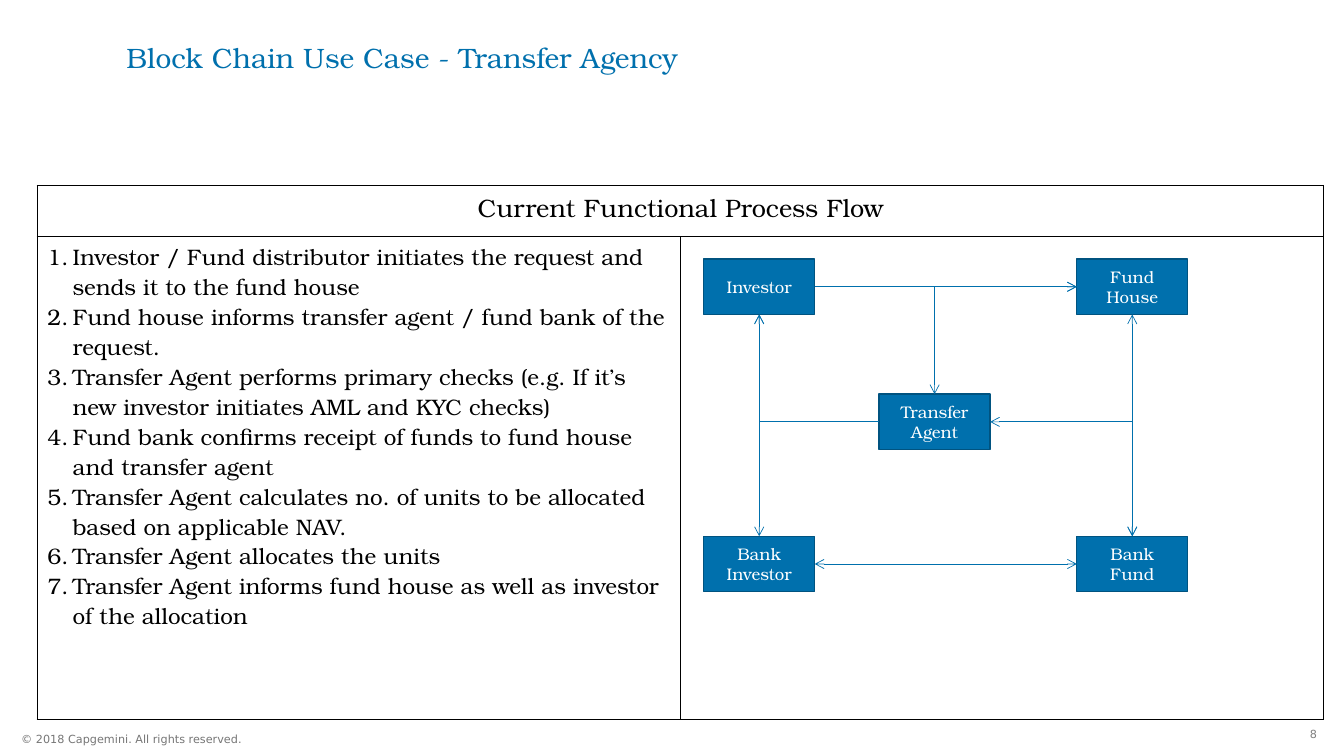
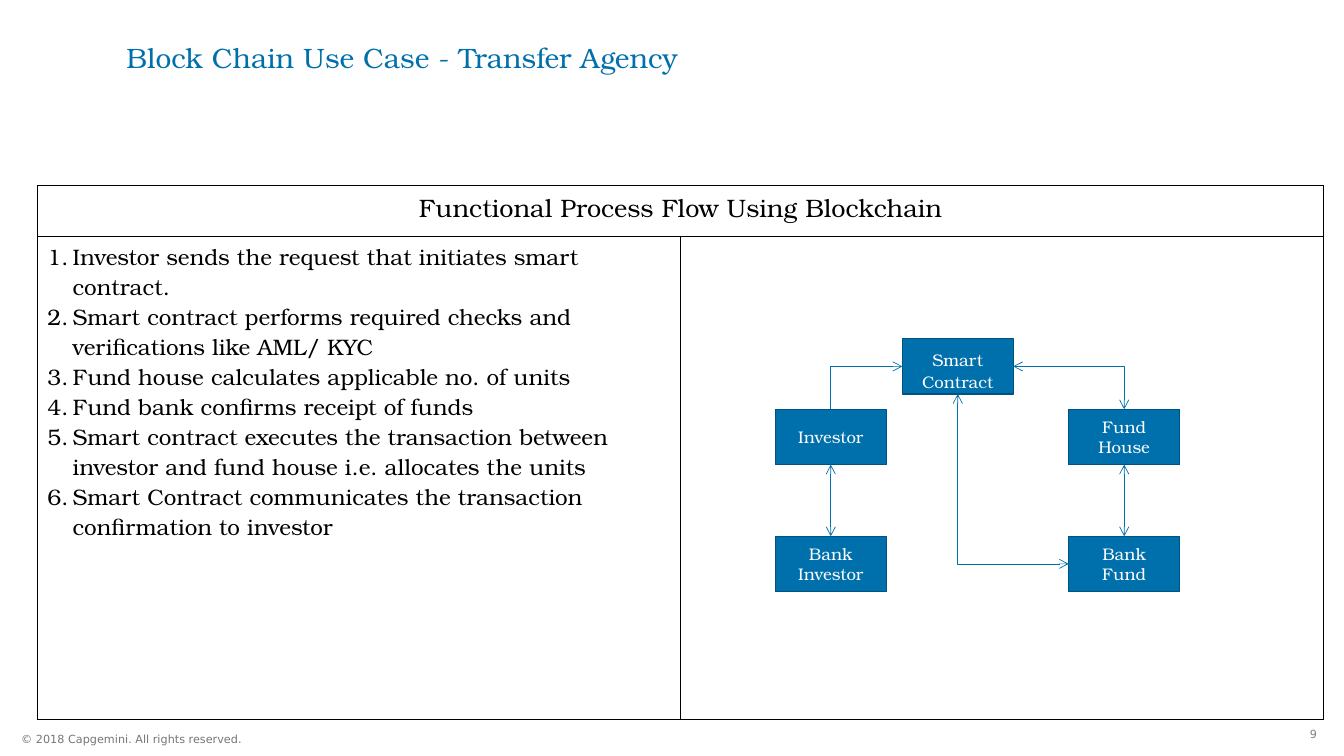
from dataclasses import dataclass

from lxml.etree import SubElement
from pptx import Presentation
from pptx.dml.color import RGBColor
from pptx.enum.shapes import MSO_CONNECTOR as Connector, MSO_SHAPE as Shape
from pptx.enum.text import MSO_ANCHOR as Anchor, PP_ALIGN as Align
from pptx.oxml.ns import qn
from pptx.util import Inches, Pt

SERIF, SANS = "TeX Gyre Bonum", "DejaVu Sans"
BLUE, DARK_BLUE, BLACK, WHITE = "0070AD", "005380", "000000", "FFFFFF"
PAGE_GREY, FOOTER_GREY = "808080", "767676"
BOX_WIDTH, BOX_HEIGHT = 1.1, 0.55
TOP, LEFT, BOTTOM, RIGHT = range(4)
SITE_OFFSETS = {
    TOP: (BOX_WIDTH / 2, 0),
    LEFT: (0, BOX_HEIGHT / 2),
    BOTTOM: (BOX_WIDTH / 2, BOX_HEIGHT),
    RIGHT: (BOX_WIDTH, BOX_HEIGHT / 2),
}


@dataclass
class Box:
    label: str
    left: float
    top: float
    gap_size: int = 12


@dataclass
class Link:
    start: str
    start_site: int
    end: str
    end_site: int
    arrows: tuple = ("headEnd", "tailEnd")
    bent: bool = False


@dataclass
class Process:
    number: int
    heading: str
    steps: list
    boxes: list
    links: list


PROCESSES = [
    Process(
        8,
        "Current Functional Process Flow",
        [
            "Investor / Fund distributor initiates the request and sends it to the fund house",
            "Fund house informs transfer agent / fund bank of the request.",
            "Transfer Agent performs primary checks (e.g. If it’s new investor initiates AML and KYC checks)",
            "Fund bank confirms receipt of funds to fund house and transfer agent",
            "Transfer Agent calculates no. of units to be allocated based on applicable NAV.",
            "Transfer Agent allocates the units",
            "Transfer Agent informs fund house as well as investor of the allocation",
        ],
        [
            Box("Investor", 6.98, 2.57),
            Box("Fund House", 10.68, 2.57),
            Box("Transfer Agent", 8.72, 3.91),
            Box("Bank Fund", 10.68, 5.32),
            Box("Bank Investor", 6.98, 5.32),
        ],
        [
            Link("Investor", RIGHT, "Fund House", LEFT, ("tailEnd",)),
            Link("Transfer Agent", RIGHT, "Bank Fund", TOP, bent=True),
            Link("Bank Investor", RIGHT, "Bank Fund", LEFT),
            Link("Fund House", BOTTOM, "Bank Fund", TOP),
            Link("Fund House", LEFT, "Transfer Agent", TOP, bent=True),
            Link("Transfer Agent", LEFT, "Investor", BOTTOM, ("tailEnd",), True),
            Link("Investor", BOTTOM, "Bank Investor", TOP),
        ],
    ),
    Process(
        9,
        "Functional Process Flow Using Blockchain",
        [
            "Investor sends the request that initiates smart contract.",
            "Smart contract performs required checks and verifications like AML/ KYC",
            "Fund house calculates applicable no. of units",
            "Fund bank confirms receipt of funds",
            "Smart contract executes the transaction between investor and fund house i.e. allocates the units",
            "Smart Contract communicates the transaction confirmation to investor",
        ],
        [
            Box("Investor", 7.69, 4.06),
            Box("Fund House", 10.6, 4.06),
            Box("Smart Contract", 8.95, 3.36, gap_size=18),
            Box("Bank Fund", 10.6, 5.32),
            Box("Bank Investor", 7.69, 5.32),
        ],
        [
            Link("Smart Contract", LEFT, "Investor", TOP, ("headEnd",), True),
            Link("Investor", BOTTOM, "Bank Investor", TOP),
            Link("Smart Contract", RIGHT, "Fund House", TOP, bent=True),
            Link("Bank Fund", LEFT, "Smart Contract", BOTTOM, bent=True),
            Link("Fund House", BOTTOM, "Bank Fund", TOP),
        ],
    ),
]


def rgb(value: str) -> RGBColor:
    return RGBColor.from_string(value)


def style_font(font, size: float, color: str, name: str = SERIF) -> None:
    font.size, font.name = Pt(size), name
    font.color.rgb = rgb(color)


def add_text(page, text: str, area: tuple, size: int, color: str, name: str, align=Align.LEFT,
             anchor=Anchor.TOP, inset: bool = False, wrap: bool = False):
    frame = page.shapes.add_textbox(*map(Inches, area)).text_frame
    frame.word_wrap, frame.vertical_anchor = wrap, anchor
    if not inset:
        frame.margin_left = frame.margin_top = frame.margin_right = frame.margin_bottom = 0
    frame.text = text
    para = frame.paragraphs[0]
    para.alignment = align
    style_font(para.runs[0].font, size, color, name)
    return para


def add_frame(page, number: int) -> None:
    add_text(page, str(number), (12.89, 7.17, 0.27, 0.24), 8, PAGE_GREY, SANS, Align.RIGHT, inset=True)
    add_text(page, "© 2018 Capgemini. All rights reserved.", (0.21, 7.21, 2.43, 0.24), 8,
             FOOTER_GREY, SANS, anchor=Anchor.MIDDLE)
    title = add_text(page, "Block Chain Use Case - Transfer Agency", (0.45, 0.44, 7.08, 0.47), 20,
                     BLUE, SERIF, Align.CENTER, wrap=True)
    title.line_spacing = 0.9


def outline_cell(cell) -> None:
    cell.fill.background()
    properties = cell._tc.get_or_add_tcPr()
    for index, side in enumerate(("lnL", "lnR", "lnT", "lnB")):
        border = properties.makeelement(qn(f"a:{side}"), {"w": str(Pt(1))})
        properties.insert(index, border)
        SubElement(SubElement(border, qn("a:solidFill")), qn("a:srgbClr"), val=BLACK)


def number_paragraph(para) -> None:
    properties = para._p.get_or_add_pPr()
    properties.set("marL", str(Inches(0.25)))
    properties.set("indent", str(-Inches(0.25)))
    SubElement(properties, qn("a:buFont"), typeface=SERIF)
    SubElement(properties, qn("a:buAutoNum"), type="arabicPeriod")


def add_process_table(page, process: Process) -> None:
    area = map(Inches, (0.37, 1.84, 12.76, 5.3))
    table = page.shapes.add_table(2, 2, *area).table
    table.first_row = table.horz_banding = False
    for row, height in zip(table.rows, (0.51, 4.79)):
        row.height = Inches(height)
    for cell in table.iter_cells():
        outline_cell(cell)
    heading, steps = table.cell(0, 0), table.cell(1, 0)
    heading.merge(table.cell(0, 1))
    heading.text_frame.text = process.heading
    para = heading.text_frame.paragraphs[0]
    para.alignment = Align.CENTER
    style_font(para.runs[0].font, 18, BLACK)
    steps.text_frame.text = "\n".join(process.steps)
    for para in steps.text_frame.paragraphs:
        number_paragraph(para)
        style_font(para.runs[0].font, 16, BLACK)


def add_box(page, box: Box):
    area = map(Inches, (box.left, box.top, BOX_WIDTH, BOX_HEIGHT))
    shape = page.shapes.add_shape(Shape.RECTANGLE, *area)
    shape.shadow.inherit = False
    shape.fill.solid()
    shape.fill.fore_color.rgb = rgb(BLUE)
    shape.line.color.rgb = rgb(DARK_BLUE)
    shape.line.width = Pt(1)
    frame = shape.text_frame
    frame.word_wrap, frame.vertical_anchor = True, Anchor.MIDDLE
    para = frame.paragraphs[0]
    para.alignment = Align.CENTER
    for text in filter(None, box.label.partition(" ")):
        span = para.add_run()
        span.text = text
        style_font(span.font, box.gap_size if text == " " else 12, WHITE)
    return shape


def site_point(box: Box, site: int) -> tuple:
    across, down = SITE_OFFSETS[site]
    return Inches(box.left + across), Inches(box.top + down)


def add_link(page, link: Link, boxes: dict, shapes: dict) -> None:
    kind = Connector.ELBOW if link.bent else Connector.STRAIGHT
    start = site_point(boxes[link.start], link.start_site)
    end = site_point(boxes[link.end], link.end_site)
    line = page.shapes.add_connector(kind, *start, *end)
    line.begin_connect(shapes[link.start], link.start_site)
    line.end_connect(shapes[link.end], link.end_site)
    line.line.color.rgb = rgb(BLUE)
    line.line.width = Pt(0.5)
    properties = line._element.spPr
    if link.bent:
        properties.find(qn("a:prstGeom")).set("prst", "bentConnector2")
    for arrow in link.arrows:
        SubElement(line.line._get_or_add_ln(), qn(f"a:{arrow}"), type="arrow")
    SubElement(properties, qn("a:effectLst"))


def add_process(deck, process: Process) -> None:
    page = deck.slides.add_slide(deck.slide_layouts[6])
    add_frame(page, process.number)
    add_process_table(page, process)
    boxes = {box.label: box for box in process.boxes}
    shapes = {box.label: add_box(page, box) for box in process.boxes}
    for link in process.links:
        add_link(page, link, boxes, shapes)


def main() -> None:
    """Build the transfer agency deck."""
    deck = Presentation()
    deck.slide_width, deck.slide_height = Inches(13.33), Inches(7.5)
    for process in PROCESSES:
        add_process(deck, process)
    deck.save("out.pptx")


if __name__ == "__main__":
    main()
